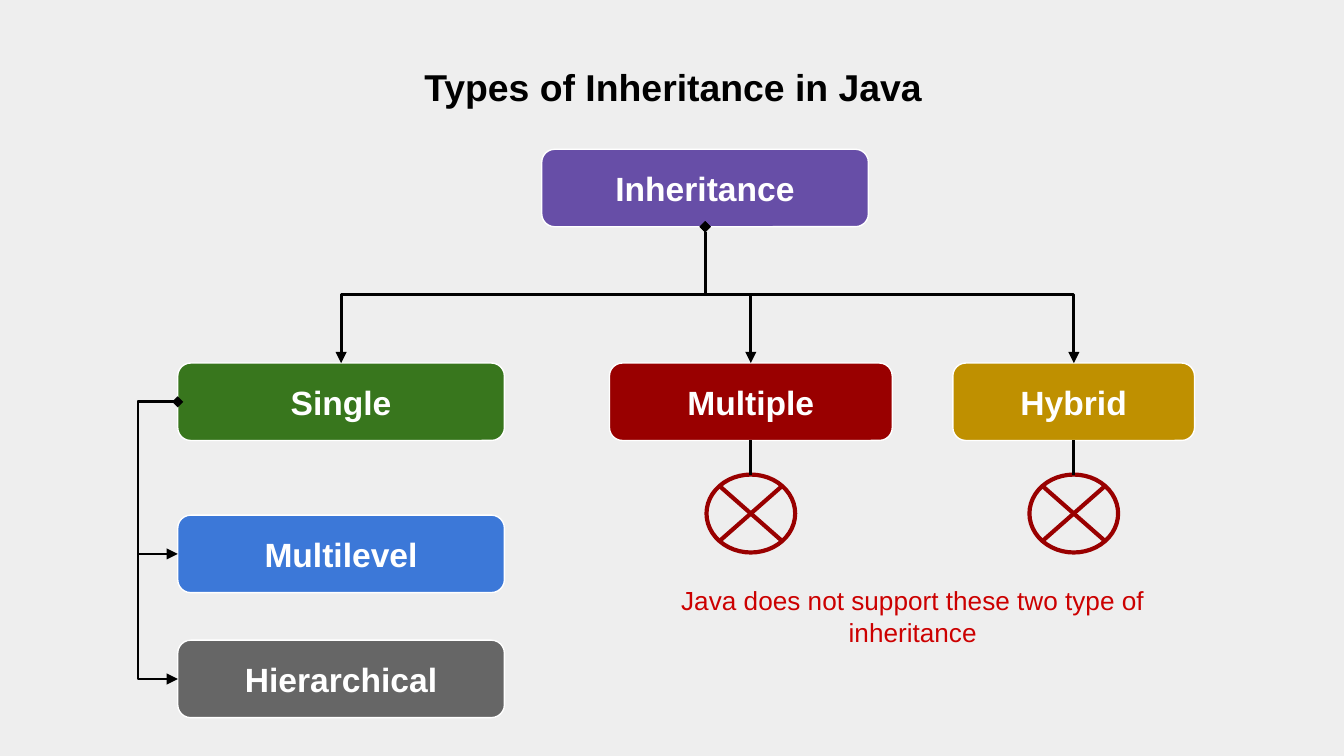
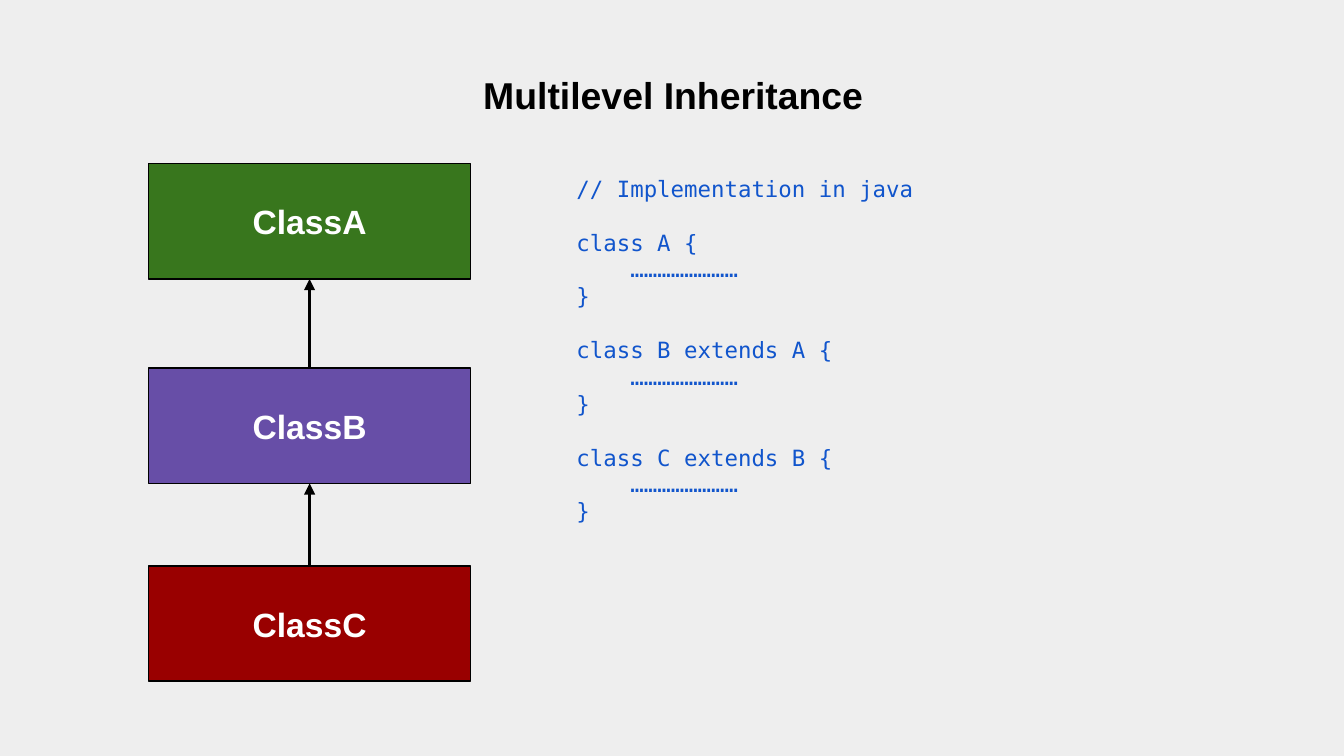
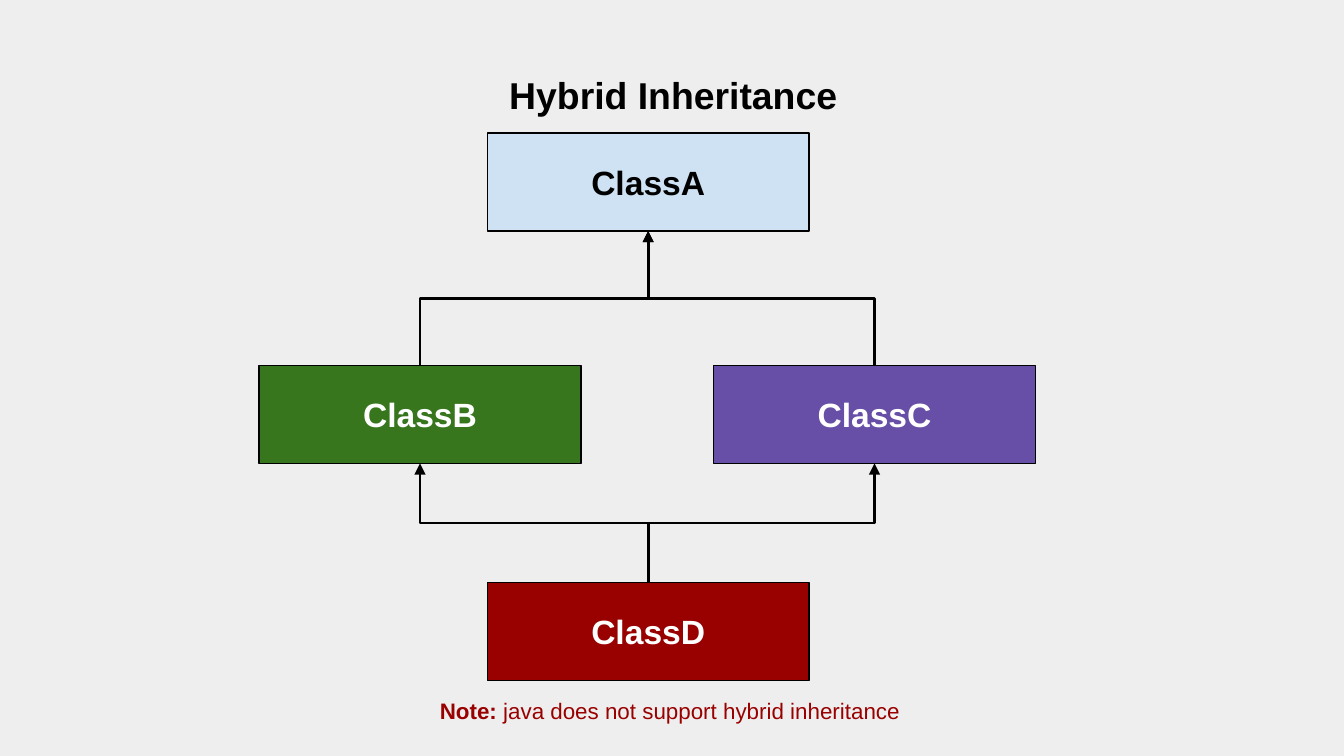
import dataclasses

import lxml.etree
import pptx
import pptx.dml.color
import pptx.enum.shapes
import pptx.enum.text
import pptx.oxml.ns
import pptx.util

Pt = pptx.util.Pt
SHAPES = pptx.enum.shapes.MSO_SHAPE
LINES = pptx.enum.shapes.MSO_CONNECTOR
ALIGN = pptx.enum.text.PP_ALIGN
ANCHOR = pptx.enum.text.MSO_ANCHOR


# Colours, fonts and type sizes
@dataclasses.dataclass(frozen=True)
class Theme:
    background: str = "EEEEEE"
    black: str = "000000"
    white: str = "FFFFFF"
    purple: str = "674EA7"
    green: str = "38761D"
    dark_red: str = "990000"
    red: str = "CC0000"
    gold: str = "BF9000"
    blue: str = "3C78D8"
    pale_blue: str = "CFE2F3"
    gray: str = "666666"
    code_blue: str = "1155CC"
    font: str = "Arial"
    code_font: str = "DejaVu Sans Mono"
    title_size: float = 20
    label_size: float = 18
    remark_size: float = 14
    small_size: float = 12


THEME = Theme()


def rgb(value):
    return pptx.dml.color.RGBColor.from_string(value)


def add_xml(parent, tag, **attributes):
    return lxml.etree.SubElement(parent, pptx.oxml.ns.qn(tag), attributes)


def write(para, text, *, size, color=THEME.black, bold=False, font=THEME.font,
          align=None, before=None, after=None, spacing=None, indent=None):
    """Append a span of text to a paragraph and format both."""
    span = para.add_run()
    span.text = text
    span.font.name, span.font.size, span.font.bold = font, Pt(size), bold
    span.font.color.rgb = rgb(color)
    if align is not None:
        para.alignment = align
    if before is not None:
        para.space_before = Pt(before)
    if after is not None:
        para.space_after = Pt(after)
    if spacing is not None:
        para.line_spacing = spacing
    if indent is not None:
        properties = para._p.get_or_add_pPr()
        properties.set("marL", str(Pt(indent)))
        properties.set("indent", "0")


class Diagram:
    """Holds the deck, its theme and the current page."""

    def __init__(self, theme):
        self.theme = theme
        self.deck = pptx.Presentation()
        self.deck.slide_width, self.deck.slide_height = Pt(720), Pt(405)
        fill = self.deck.slide_master.background.fill
        fill.solid()
        fill.fore_color.rgb = rgb(theme.background)
        self.page = None

    def new_page(self, title, top=28):
        self.page = self.deck.slides.add_slide(self.deck.slide_layouts[5])
        box = self.page.shapes.title
        box.left, box.top, box.width, box.height = Pt(23.5), Pt(top), Pt(674.5), Pt(39)
        frame = self.prepare(box, ANCHOR.TOP)
        write(frame.paragraphs[0], title, size=self.theme.title_size, bold=True,
              align=ALIGN.CENTER, before=12, after=12, spacing=1.15)

    def prepare(self, box, anchor):
        frame = box.text_frame
        frame.word_wrap = True
        frame.auto_size = pptx.enum.text.MSO_AUTO_SIZE.NONE
        frame.vertical_anchor = anchor
        frame.margin_left = frame.margin_right = Pt(7.2)
        frame.margin_top = frame.margin_bottom = Pt(7.2)
        return frame

    def text_box(self, left, top, width, height):
        box = self.page.shapes.add_textbox(Pt(left), Pt(top), Pt(width), Pt(height))
        return self.prepare(box, ANCHOR.TOP)

    def shape(self, kind, left, top, width, height, line, weight, fill=None):
        shape = self.page.shapes.add_shape(kind, Pt(left), Pt(top), Pt(width), Pt(height))
        shape.shadow.inherit = False
        if fill is None:
            shape.fill.background()
        else:
            shape.fill.solid()
            shape.fill.fore_color.rgb = rgb(fill)
        shape.line.color.rgb, shape.line.width = rgb(line), Pt(weight)
        return shape

    def node(self, label, left, top, width, height, fill, *, rounded=False, color=None):
        kind = SHAPES.ROUNDED_RECTANGLE if rounded else SHAPES.RECTANGLE
        line = self.theme.white if rounded else self.theme.black
        box = self.shape(kind, left, top, width, height, line, 0.75, fill)
        write(self.prepare(box, ANCHOR.MIDDLE).paragraphs[0], label, bold=True,
              size=self.theme.label_size, color=color or self.theme.white,
              align=ALIGN.CENTER)
        return box

    def line(self, kind, left, top, right, bottom, head, tail):
        line = self.page.shapes.add_connector(kind, left, top, right, bottom)
        line.line.color.rgb, line.line.width = rgb(self.theme.black), Pt(1.5)
        properties = line.element.spPr
        for tag, end in (("a:headEnd", head), ("a:tailEnd", tail)):
            if end:
                add_xml(properties.get_or_add_ln(), tag, type=end)
        add_xml(properties, "a:effectLst")
        return line

    def link(self, start, end, head=None, tail="triangle"):
        """Join facing sides of two shapes, one above the other."""
        down = start.top < end.top
        x1, x2 = start.left + start.width // 2, end.left + end.width // 2
        y1 = start.top + start.height if down else start.top
        y2 = end.top if down else end.top + end.height
        if abs(x2 - x1) < Pt(1):
            line = self.line(LINES.STRAIGHT, x1, y1, x2, y2, head, tail)
            line.begin_connect(start, 2 if down else 0)
            line.end_connect(end, 0 if down else 2)
            return
        # A turned elbow: its length runs vertically, its height sideways
        length, spread = abs(y2 - y1), abs(x2 - x1)
        left, top = (x1 + x2 - length) // 2, (y1 + y2 - spread) // 2
        line = self.line(LINES.ELBOW, left, top, left + length, top + spread, head, tail)
        frame = line.element.spPr.get_or_add_xfrm()
        leftward = x2 < x1
        frame.set("rot", str((90 if leftward else 270) * 60000))
        if leftward != down:
            frame.set("flipH", "1")

    def side_link(self, start, end, reach, head=None):
        """Join the left sides of two shapes by a bracket."""
        x, sliver = start.left, Pt(0.05)
        line = self.line(LINES.ELBOW, x, start.top + start.height // 2, x + sliver,
                         end.top + end.height // 2, head, "triangle")
        guides = line.element.spPr.prstGeom.get_or_add_avLst()
        bend = -round(Pt(reach) / sliver * 100000)
        add_xml(guides, "a:gd", name="adj1", fmla=f"val {bend}")


def inheritance_types(diagram):
    theme = diagram.theme
    diagram.new_page("Types of Inheritance in Java", top=23.75)

    # Kinds of inheritance
    nodes = {}
    for label, left, top, width, fill in (
            ("Inheritance", 290.25, 80, 175, theme.purple),
            ("Multiple", 326.5, 194.5, 151.5, theme.dark_red),
            ("Single", 95.25, 194.5, 175, theme.green),
            ("Hybrid", 510.5, 194.5, 129.5, theme.gold),
            ("Multilevel", 95.25, 276, 175, theme.blue),
            ("Hierarchical", 95.25, 343, 175, theme.gray)):
        nodes[label] = diagram.node(label, left, top, width, 41.5, fill, rounded=True)

    # Tree lines
    for label in ("Single", "Hybrid", "Multiple"):
        diagram.link(nodes["Inheritance"], nodes[label], head="diamond")
    diagram.side_link(nodes["Single"], nodes["Multilevel"], 18.75)
    diagram.side_link(nodes["Single"], nodes["Hierarchical"], 18.75, head="diamond")

    # Unsupported kinds
    for label in ("Multiple", "Hybrid"):
        box = nodes[label]
        center = (box.left + box.width / 2) / Pt(1)
        cross = diagram.shape(SHAPES.FLOWCHART_SUMMING_JUNCTION, center - 23.75, 254.25,
                              47.5, 41.75, theme.dark_red, 2.25)
        diagram.link(cross, box, tail=None)
    remark = diagram.text_box(338, 306, 302, 48)
    write(remark.paragraphs[0], "Java does not support these two type of inheritance",
          size=theme.remark_size, color=theme.red, align=ALIGN.CENTER)


def multilevel(diagram):
    theme = diagram.theme
    diagram.new_page("Multilevel Inheritance")

    # Code
    frame = diagram.text_box(301.75, 86.5, 255, 247)
    style = dict(size=theme.small_size, color=theme.code_blue, font=theme.code_font)
    write(frame.paragraphs[0], "// Implementation in java", **style)
    for heading in ("class A {", "class B extends A {", "class C extends B {"):
        write(frame.add_paragraph(), heading, before=14.4, **style)
        write(frame.add_paragraph(), "……………………", indent=28.9, **style)
        write(frame.add_paragraph(), "}", **style)

    # Class chain
    parent = None
    for label, top, fill in (("ClassA", 87.75, theme.green),
                             ("ClassB", 197.25, theme.purple),
                             ("ClassC", 303.25, theme.dark_red)):
        box = diagram.node(label, 79.5, top, 172.75, 61.75, fill)
        if parent is not None:
            diagram.link(box, parent)
        parent = box


def hybrid(diagram):
    theme = diagram.theme
    diagram.new_page("Hybrid Inheritance")

    # Note
    para = diagram.text_box(127, 366, 464, 32).paragraphs[0]
    style = dict(size=theme.small_size, color=theme.dark_red, align=ALIGN.CENTER)
    write(para, "Note:", bold=True, **style)
    write(para, " java does not support hybrid inheritance", **style)

    # Class diamond
    class_a, class_b, class_c, class_d = (
        diagram.node(label, left, top, 172.5, 52.5, fill, color=color)
        for label, left, top, fill, color in (
            ("ClassA", 261, 71.25, theme.pale_blue, theme.black),
            ("ClassB", 138.75, 195.75, theme.green, theme.white),
            ("ClassC", 382.25, 195.75, theme.purple, theme.white),
            ("ClassD", 261, 312, theme.dark_red, theme.white)))
    for middle in (class_b, class_c):
        diagram.link(class_d, middle)
        diagram.link(middle, class_a)


def main():
    diagram = Diagram(THEME)
    for build in (inheritance_types, multilevel, hybrid):
        build(diagram)
    diagram.deck.save("out.pptx")


if __name__ == "__main__":
    main()
